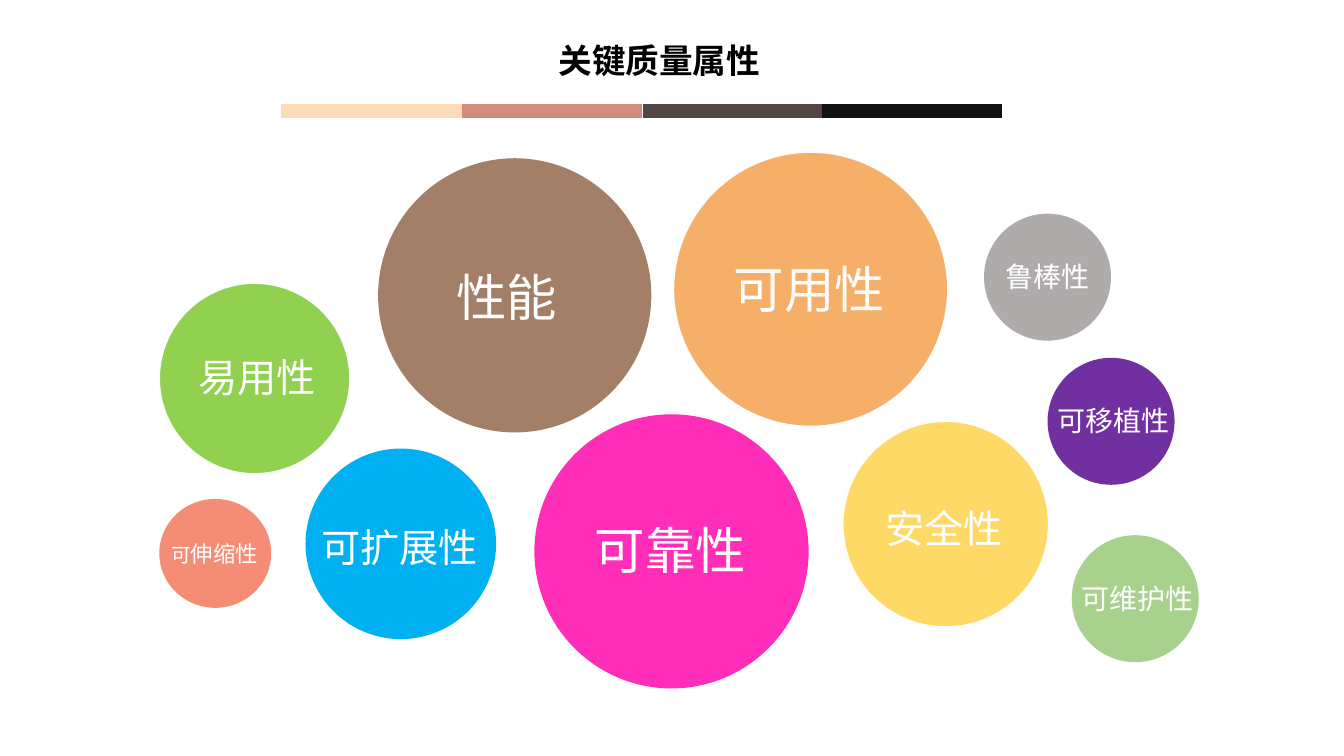
import pptx
import pptx.util
import pptx.dml.color
import pptx.enum.shapes
import pptx.enum.text
import pptx.oxml.ns
from lxml import etree

RGB = pptx.dml.color.RGBColor
WHITE = RGB(0xFF, 0xFF, 0xFF)
BLACK = RGB(0x00, 0x00, 0x00)
RIM = RGB(0xFD, 0xFD, 0xFD)
PEACH = RGB(0xFD, 0xDA, 0xB8)
CLAY = RGB(0xD2, 0x8C, 0x79)
UMBER = RGB(0x53, 0x45, 0x44)
INK = RGB(0x12, 0x12, 0x12)
ORANGE = RGB(0xF5, 0xAF, 0x69)
BLUE = RGB(0x00, 0xB0, 0xF0)
BROWN = RGB(0xA3, 0x7F, 0x67)
PINK = RGB(0xFF, 0x2E, 0xB9)
CORAL = RGB(0xF5, 0x8D, 0x76)
GREEN = RGB(0x92, 0xD0, 0x50)
PURPLE = RGB(0x70, 0x30, 0xA0)
GREY = RGB(0xAF, 0xAB, 0xAB)
SAGE = RGB(0xA9, 0xD1, 0x8E)
YELLOW = RGB(0xFF, 0xD9, 0x66)

TITLE_FONT = "League Spartan"
LABEL_FONT = "Noto Sans CJK SC"
PX_PER_INCH = 100


def px(*lengths):
    return [pptx.util.Emu(round(n * 914400 / PX_PER_INCH)) for n in lengths]


class Deck:
    def __init__(self):
        self.prs = pptx.Presentation()
        self.prs.slide_width, self.prs.slide_height = px(1333, 750)
        self.s = self.prs.slides.add_slide(self.prs.slide_layouts[5])

    def run(self, p, text, size, font, **styles):
        r = p.add_run()
        r.text = text
        r.font.color.rgb = styles.pop("color", WHITE)
        for name, value in dict(size=pptx.util.Pt(size), name=font, **styles).items():
            setattr(r.font, name, value)
        ea = etree.SubElement(r.font._element, pptx.oxml.ns.qn("a:ea"))
        ea.set("typeface", font)

    def title(self, box, text):
        sp = self.s.shapes.title
        sp.left, sp.top, sp.width, sp.height = px(*box)
        tf = sp.text_frame
        tf.auto_size = pptx.enum.text.MSO_AUTO_SIZE.NONE
        tf.vertical_anchor = pptx.enum.text.MSO_ANCHOR.MIDDLE
        p = tf.paragraphs[0]
        formats = dict(alignment=pptx.enum.text.PP_ALIGN.CENTER,
                       line_spacing=0.9, space_before=pptx.util.Pt(10))
        for name, value in formats.items():
            setattr(p, name, value)
        self.run(p, text, 24, TITLE_FONT, bold=True, color=BLACK)

    def line(self, left, right, y, color):
        cn = self.s.shapes.add_connector(
            pptx.enum.shapes.MSO_CONNECTOR.STRAIGHT, *px(left, y, right, y))
        cn.line.color.rgb = color
        cn.line.width = pptx.util.Pt(10)
        etree.SubElement(cn._element.spPr, pptx.oxml.ns.qn("a:effectLst"))

    def circle(self, box, fill, rim):
        sp = self.s.shapes.add_shape(pptx.enum.shapes.MSO_SHAPE.OVAL, *px(*box))
        sp.shadow.inherit = False
        sp.fill.solid()
        sp.fill.fore_color.rgb = fill
        if rim:
            sp.line.color.rgb = RIM
            sp.line.width = pptx.util.Pt(1)
        else:
            sp.line.fill.background()

    def label(self, left, top, runs):
        # The box fits its text plus the default insets
        width = 21 + sum(len(text) * size for text, size in runs) * PX_PER_INCH / 72
        height = 10 + max(size for _, size in runs) * 1.2 * PX_PER_INCH / 72
        sp = self.s.shapes.add_textbox(*px(left, top, width, height))
        tf = sp.text_frame
        tf.word_wrap = False
        tf.auto_size = pptx.enum.text.MSO_AUTO_SIZE.SHAPE_TO_FIT_TEXT
        for text, size in runs:
            self.run(tf.paragraphs[0], text, size, LABEL_FONT)


# Circle box, fill, rim, label corner, label runs
ATTRIBUTES = [
    ((668, 151, 272, 272), ORANGE, True, (718, 251), [("可用性", 36)]),
    ((303, 445, 189, 189), BLUE, False, (309, 514), [("可扩展性", 28)]),
    ((375, 157, 271, 272), BROWN, False, (443, 259), [("性能", 36)]),
    ((530, 411, 272, 272), PINK, False, (580, 510), [("可靠性", 36)]),
    ((158, 495, 111, 108), CORAL, False, (160, 531), [("可", 14), ("伸缩性", 16)]),
    ((158, 281, 189, 189), GREEN, True, (187, 346), [("易用性", 28)]),
    ((1039, 355, 126, 126), PURPLE, False, (1039, 395), [("可移植性", 20)]),
    ((976, 212, 126, 126), GREY, False, (987, 253), [("鲁棒性", 20)]),
    ((1063, 531, 126, 126), SAGE, False, (1063, 572), [("可维护性", 20)]),
    ((836, 418, 204, 204), YELLOW, True, (868, 495), [("安全性", 28)]),
]


def main():
    deck = Deck()

    # Title and the four-colour rule below it
    deck.title((416, 42, 476, 40), "关键质量属性")
    for left, color in [(279, PEACH), (458, CLAY), (638, UMBER), (815, INK)]:
        deck.line(left, left + 179, 110, color)

    # Quality attributes, sized by weight
    for box, fill, rim, corner, runs in ATTRIBUTES:
        deck.circle(box, fill, rim)
        deck.label(*corner, runs)

    deck.prs.save("out.pptx")


if __name__ == "__main__":
    main()
